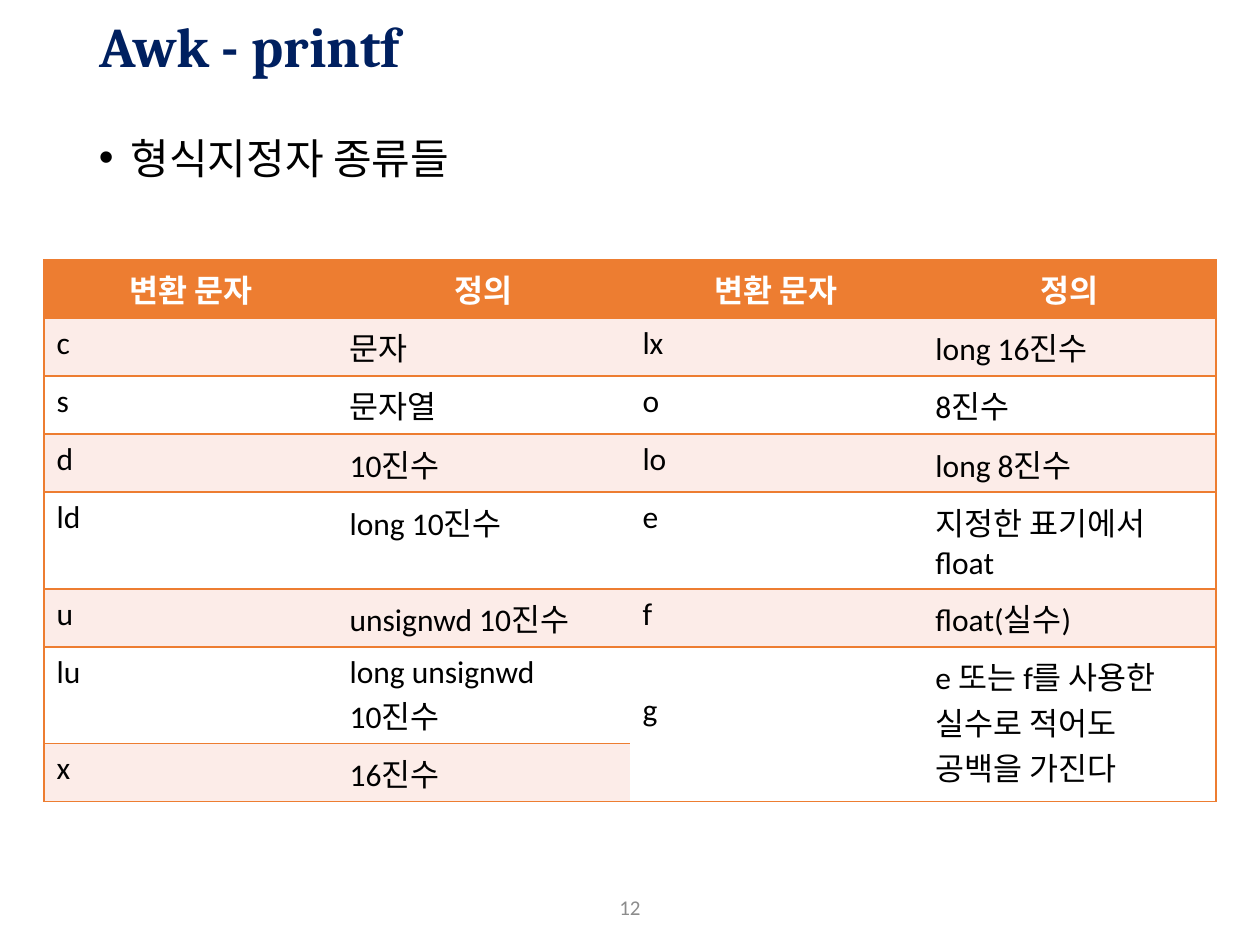
from lxml.etree import SubElement
from pptx import Presentation
from pptx.dml.color import RGBColor
from pptx.enum.text import MSO_ANCHOR, MSO_AUTO_SIZE, PP_ALIGN
from pptx.oxml import parse_xml
from pptx.oxml.ns import nsdecls, qn
from pptx.util import Pt

COLORS = {
    "title": "002060",
    "text": "000000",
    "number": "8C8C8C",
    "accent": "ED7D31",
    "band": "FCECE8",
    "white": "FFFFFF",
}
HEADINGS = ("변환 문자", "정의", "변환 문자", "정의")
SPECIFIERS = (
    ("c", "문자", "lx", "long 16진수"),
    ("s", "문자열", "o", "8진수"),
    ("d", "10진수", "lo", "long 8진수"),
    ("ld", "long 10진수", "e", "지정한 표기에서 float"),
    ("u", "unsignwd 10진수", "f", "float(실수)"),
    ("lu", "long unsignwd \v10진수", "g", "e 또는 f를 사용한 실수로 적어도 공백을 가진다"),
    ("x", "16진수", "", ""),
)
MERGED_ROW, MERGED_COLUMNS = 6, (2, 3)
TWO_LINE_ROWS = (4, 6)
ROW_HEIGHT, TWO_LINE_HEIGHT = 33.2, 55.2


def format_text(para, font, size, color, bold=False):
    for span in para.runs:
        span.font.name = font
        span.font.size = Pt(size)
        span.font.bold = bold
        span.font.color.rgb = RGBColor.from_string(COLORS[color])


def place(shape, box):
    shape.left, shape.top, shape.width, shape.height = map(Pt, box)


def add_text(page, box, text):
    frame = page.shapes.add_textbox(*map(Pt, box)).text_frame
    frame.word_wrap = True
    frame.text = text
    return frame


def set_title(page, box, text):
    title = page.shapes.title
    place(title, box)
    frame = title.text_frame
    frame.text = text
    frame.auto_size = MSO_AUTO_SIZE.NONE
    frame.vertical_anchor = MSO_ANCHOR.MIDDLE
    para = frame.paragraphs[0]
    para.alignment = PP_ALIGN.LEFT
    para.line_spacing = 0.9
    format_text(para, "Cambria", 32, "title", bold=True)


def add_bullet(page, box, text):
    para = add_text(page, box, text).paragraphs[0]
    para.space_before = Pt(10)
    format_text(para, "Cambria", 24, "text")
    properties = para._p.get_or_add_pPr()
    properties.set("marL", str(Pt(18)))
    properties.set("indent", str(Pt(-18)))
    SubElement(properties, qn("a:buFont"), typeface="Arial")
    SubElement(properties, qn("a:buChar"), char="•")


def add_page_number(page, box, text):
    frame = add_text(page, box, text)
    frame.vertical_anchor = MSO_ANCHOR.MIDDLE
    para = frame.paragraphs[0]
    para.alignment = PP_ALIGN.CENTER
    format_text(para, "Calibri", 12, "number")


def set_borders(cell, edges):
    """Draw accent lines on the given edges (L, R, T, B) and clear the others."""
    properties = cell._tc.get_or_add_tcPr()
    for position, edge in enumerate("LRTB"):
        fill = "<a:noFill/>"
        if edge in edges:
            fill = f'<a:solidFill><a:srgbClr val="{COLORS["accent"]}"/></a:solidFill>'
        line = parse_xml(f'<a:ln{edge} {nsdecls("a")} w="{Pt(1)}">{fill}</a:ln{edge}>')
        properties.insert(position, line)


def fill_cell(cell, text, row, color):
    cell.fill.solid()
    cell.fill.fore_color.rgb = RGBColor.from_string(COLORS[color])
    cell.text_frame.text = text
    para = cell.text_frame.paragraphs[0]
    if row == 0:
        para.alignment = PP_ALIGN.CENTER
    format_text(para, "Calibri", 18, "white" if row == 0 else "text", bold=row == 0)


def add_specifier_table(page, left, top, width):
    rows = (HEADINGS,) + SPECIFIERS
    last_column = len(HEADINGS) - 1
    heights = [TWO_LINE_HEIGHT if row in TWO_LINE_ROWS else ROW_HEIGHT for row in range(len(rows))]
    box = (left, top, width, sum(heights))
    table = page.shapes.add_table(len(rows), len(HEADINGS), *map(Pt, box)).table
    table.first_row = table.horz_banding = False
    for column in MERGED_COLUMNS:
        table.cell(MERGED_ROW, column).merge(table.cell(MERGED_ROW + 1, column))

    for row, texts in enumerate(rows):
        table.rows[row].height = Pt(heights[row])
        color = "accent" if row == 0 else "band" if row % 2 else "white"
        for column, text in enumerate(texts):
            cell = table.cell(row, column)
            fill_cell(cell, text, row, "white" if cell.is_spanned else color)
            edges = "B" if cell.is_spanned else "TB"
            edges += {0: "L", last_column: "R"}.get(column, "")
            set_borders(cell, edges)
    # The "g" sits one line below the top of its merged cell.
    table.cell(MERGED_ROW, MERGED_COLUMNS[0]).margin_top = Pt(25.6)


def main():
    deck = Presentation()
    deck.slide_width, deck.slide_height = Pt(720), Pt(540)
    page = deck.slides.add_slide(deck.slide_layouts[5])
    set_title(page, (49.5, 7.6, 621, 41), "Awk - printf")
    add_bullet(page, (49.5, 72, 621, 409), "형식지정자 종류들")
    add_specifier_table(page, 25.2, 148.5, 669.6)
    add_page_number(page, (343, 504, 34, 29), "12")
    deck.save("out.pptx")


if __name__ == "__main__":
    main()
